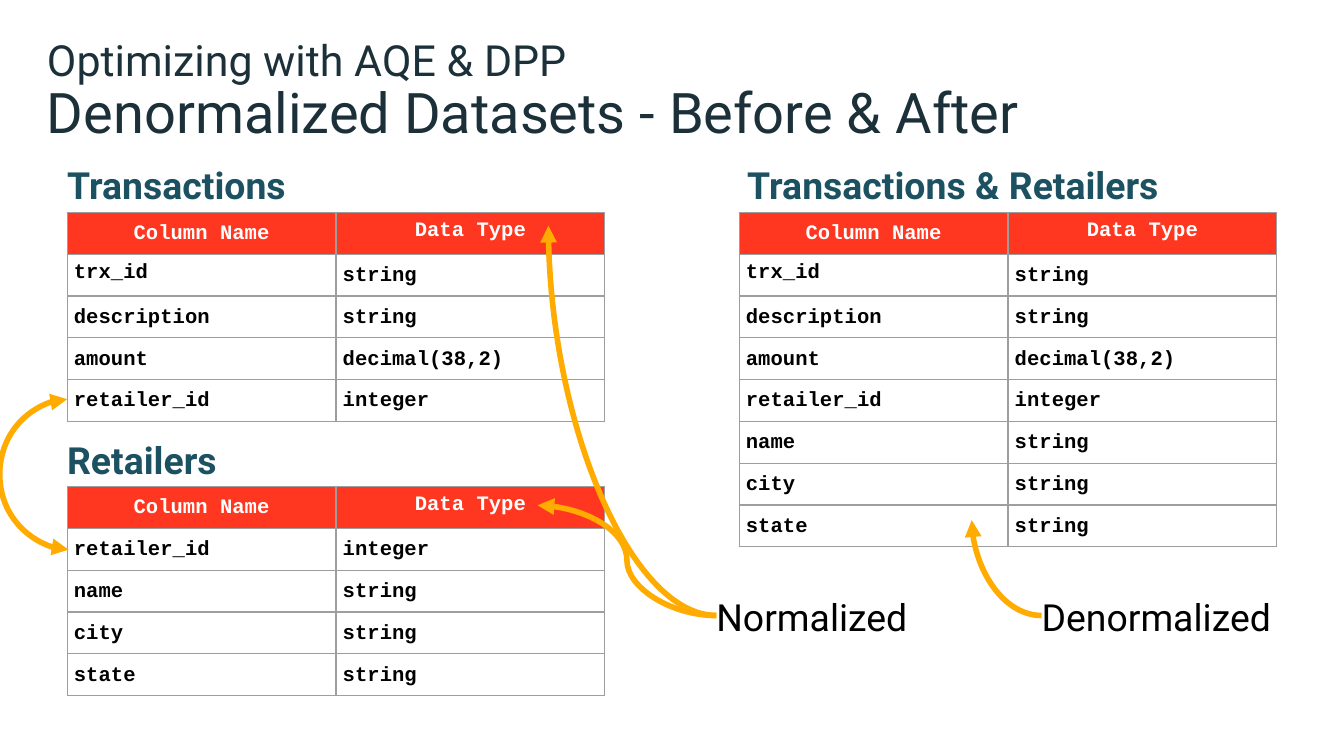
from lxml.etree import SubElement
from pptx import Presentation
from pptx.dml.color import RGBColor
from pptx.enum.shapes import MSO_CONNECTOR
from pptx.enum.text import MSO_ANCHOR, PP_ALIGN
from pptx.oxml.ns import qn
from pptx.util import Inches, Pt

RED = RGBColor(0xFF, 0x36, 0x20)
AMBER = RGBColor(0xFF, 0xAB, 0x00)
NAVY = RGBColor(0x1B, 0x30, 0x38)
TEAL = RGBColor(0x1B, 0x51, 0x61)
BLACK = RGBColor(0, 0, 0)
WHITE = RGBColor(0xFF, 0xFF, 0xFF)
GREY = "9E9E9E"

ROW_HEIGHT = 0.2  # least height; rows grow to fit their text
COLUMN_WIDTH = 2
HEADING_HEIGHT = 0.37
CELL_MARGIN = 0.05

HEADER = ("Column Name", "Data Type")
TRANSACTION_FIELDS = [
    ("trx_id", "string"),
    ("description", "string"),
    ("amount", "decimal(38,2)"),
    ("retailer_id", "integer"),
]
RETAILER_FIELDS = [("name", "string"), ("city", "string"), ("state", "string")]
SINGLE_SPACED = {"Data Type", "trx_id"}


def write_text(frame, text, size=20, font="Roboto", color=BLACK, bold=False,
               align=PP_ALIGN.LEFT, spacing=1.0):
    para = frame.paragraphs[0]
    para.alignment = align
    para.line_spacing = spacing
    span = para.add_run()
    span.text = text
    span.font.size = Pt(size)
    span.font.name = font
    span.font.bold = bold
    span.font.color.rgb = color


def add_text(page, left, top, width, height, text, inset=0, anchor=MSO_ANCHOR.TOP, **style):
    box = page.shapes.add_textbox(Inches(left), Inches(top), Inches(width), Inches(height))
    frame = box.text_frame
    frame.word_wrap = True
    frame.vertical_anchor = anchor
    frame.margin_left = Inches(inset)
    frame.margin_right = frame.margin_top = frame.margin_bottom = 0
    write_text(frame, text, **style)


def add_borders(cell):
    properties = cell._tc.get_or_add_tcPr()
    for index, side in enumerate(("a:lnL", "a:lnR", "a:lnT", "a:lnB")):
        line = properties.makeelement(qn(side), {"w": str(Pt(0.75))})
        fill = SubElement(line, qn("a:solidFill"))
        SubElement(fill, qn("a:srgbClr"), val=GREY)
        properties.insert(index, line)


def add_schema(page, left, top, heading, fields, indent=0):
    """Heading with a table of column names and data types below it."""
    add_text(page, left, top, 4, HEADING_HEIGHT, heading, inset=indent, color=TEAL, bold=True)

    rows = [HEADER, *fields]
    frame = page.shapes.add_table(
        len(rows), len(HEADER), Inches(left), Inches(top + HEADING_HEIGHT),
        Inches(COLUMN_WIDTH * len(HEADER)), Inches(ROW_HEIGHT * len(rows)))
    table = frame.table
    for row_index, row in enumerate(rows):
        is_header = row_index == 0
        for column_index, text in enumerate(row):
            cell = table.cell(row_index, column_index)
            cell.margin_left = cell.margin_right = Inches(CELL_MARGIN)
            cell.margin_top = cell.margin_bottom = Inches(CELL_MARGIN)
            if is_header:
                cell.fill.solid()
                cell.fill.fore_color.rgb = RED
            else:
                cell.fill.background()
            add_borders(cell)
            write_text(cell.text_frame, text, size=11, font="Courier New", bold=True,
                       color=WHITE if is_header else BLACK,
                       align=PP_ALIGN.CENTER if is_header else PP_ALIGN.LEFT,
                       spacing=1.0 if text in SINGLE_SPACED else 1.15)


def add_curve(page, start, end, ends=("headEnd",), bend=None):
    """Amber S-shaped curve; bend shifts its middle, as a share of the width."""
    curve = page.shapes.add_connector(
        MSO_CONNECTOR.CURVE, *(Inches(value) for value in (*start, *end)))
    curve.line.color.rgb = AMBER
    curve.line.width = Pt(3)
    for name in ends:
        SubElement(curve.line._get_or_add_ln(), qn(f"a:{name}"), type="triangle")
    properties = curve._element.spPr
    SubElement(properties, qn("a:effectLst"))
    if bend is not None:
        guides = properties.find(qn("a:prstGeom")).get_or_add_avLst()
        SubElement(guides, qn("a:gd"), name="adj1", fmla=f"val {round(bend * 100000)}")
    return curve


def add_corner_curve(page, tip, label):
    """Quarter curve that leaves a label sideways and rises to the tip."""
    center_x, center_y = (tip[0] + label[0]) / 2, (tip[1] + label[1]) / 2
    half_width, half_height = (label[1] - tip[1]) / 2, (label[0] - tip[0]) / 2
    # The box is laid out flat and mirrored, then turned by three quarters
    curve = add_curve(page, (center_x + half_width, center_y - half_height),
                      (center_x - half_width, center_y + half_height))
    properties = curve._element.spPr
    properties.find(qn("a:xfrm")).set("rot", str(270 * 60000))
    properties.find(qn("a:prstGeom")).set("prst", "curvedConnector2")


def add_titles(page, width):
    add_text(page, 0, 0.25, width, 0.42, "Optimizing with AQE & DPP",
             inset=0.35, size=23, color=NAVY)
    add_text(page, 0, 0.58, width, 0.5, "Denormalized Datasets - Before & After",
             inset=0.35, anchor=MSO_ANCHOR.BOTTOM, size=30, color=NAVY)


def add_normalized(page, left, top):
    """Two related tables and the label that points at both."""
    add_schema(page, left, top, "Transactions", TRANSACTION_FIELDS)
    add_schema(page, left, top + 2.04, "Retailers",
               [TRANSACTION_FIELDS[-1], *RETAILER_FIELDS])
    # Link between the two retailer_id rows
    add_curve(page, (left, top + 1.76), (left + 0.01, top + 2.88),
              ends=("headEnd", "tailEnd"), bend=-51)
    # Label and its arrows
    label = (left + 4.83, top + 3.37)
    add_curve(page, (left + 3.5, top + 2.55), label)
    add_corner_curve(page, (left + 3.58, top + 0.47), label)
    add_text(page, label[0], label[1] - 0.16, 1.58, 0.33, "Normalized")


def add_denormalized(page, left, top):
    """The joined table and the label that points at it."""
    add_schema(page, left, top, "Transactions & Retailers",
               TRANSACTION_FIELDS + RETAILER_FIELDS, indent=0.06)
    label = (left + 2.25, top + 3.37)
    add_corner_curve(page, (left + 1.73, top + 2.66), label)
    add_text(page, label[0], label[1] - 0.16, 1.92, 0.33, "Denormalized")


def main():
    deck = Presentation()
    deck.slide_width = Inches(10)
    deck.slide_height = deck.slide_width * 9 // 16
    page = deck.slides.add_slide(deck.slide_layouts[6])
    add_titles(page, 10)
    add_normalized(page, 0.5, 1.21)
    add_denormalized(page, 5.5, 1.21)
    deck.save("out.pptx")


if __name__ == "__main__":
    main()
